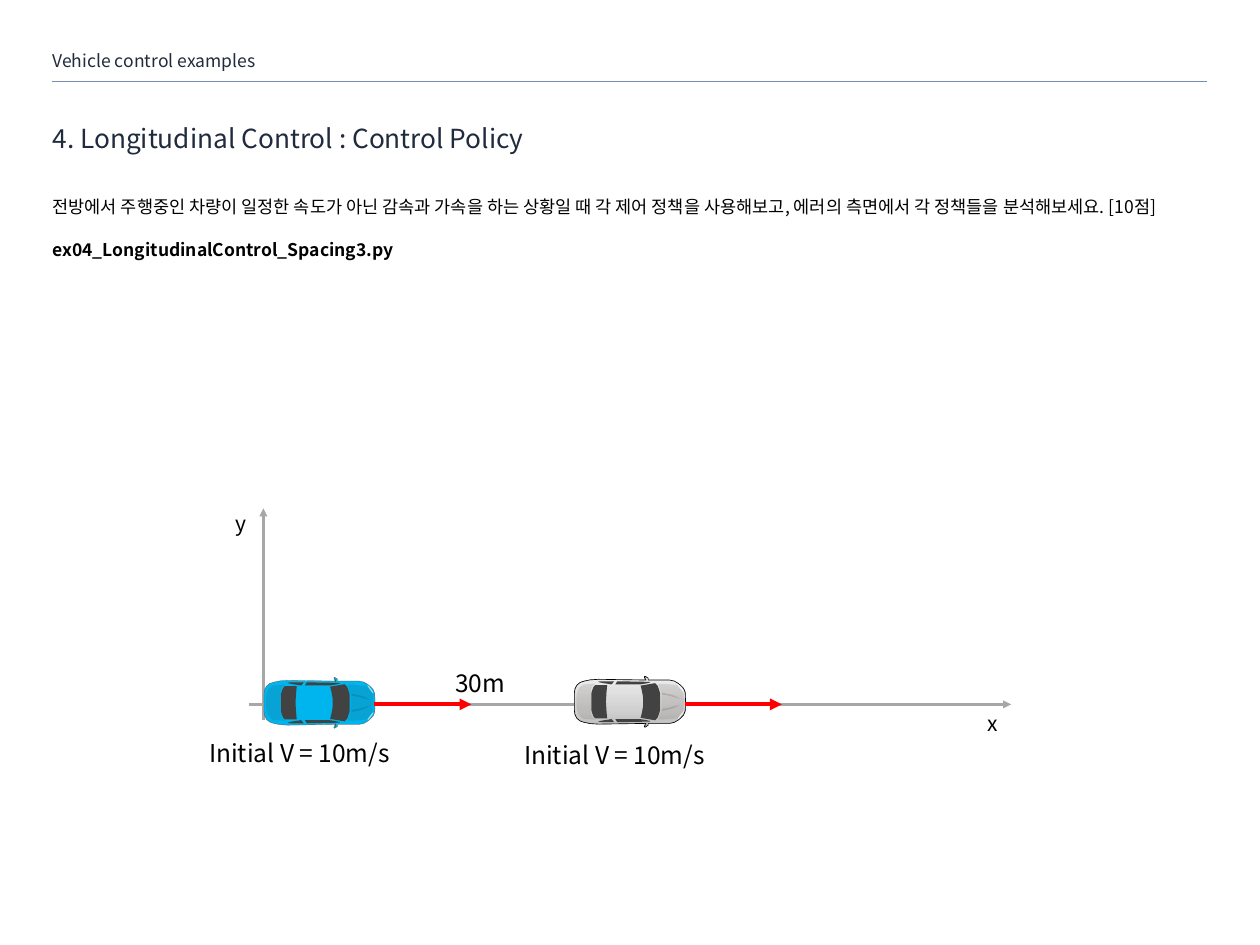
from copy import deepcopy
from dataclasses import dataclass
from math import ceil, dist
from typing import NamedTuple

from lxml.etree import SubElement
from pptx import Presentation
from pptx.dml.color import RGBColor
from pptx.enum.shapes import MSO_CONNECTOR as Connector, MSO_SHAPE as Preset
from pptx.enum.text import MSO_ANCHOR as Anchor, MSO_AUTO_SIZE as AutoSize, PP_ALIGN as Align
from pptx.oxml.ns import qn
from pptx.util import Pt

FONT = "Noto Sans CJK KR"
COLORS = {
    "ink": "000000", "heading": "202B3D", "rule": "778FAE", "axis": "A7A7A7",
    "velocity": "FF0000", "ego": "00B4ED", "ego_edge": "5B4036", "glass": "424242",
    "shade": "3C2A24", "light": "FFFFFF",
    "silver_low": "BDBDBD", "silver_mid": "D1D1D1", "silver_high": "EEEEEE",
}
MARGIN, TEXT_WIDTH = 60, 1320
AXIS_Y = 805
CHORD, MAX_CHORDS = 5, 3

Point = tuple[float, float]


class Part(NamedTuple):
    """Upper half of a car part; (x, y) is a corner, six numbers are a Bezier curve."""
    outline: tuple
    color: str = "glass"
    opacity: int = 100
    paired: bool = False


class Line(NamedTuple):
    start: Point
    end: Point
    color: str
    weight: float
    arrow: bool = True


class Label(NamedTuple):
    text: str
    left: float
    top: float
    width: float
    height: float
    size: float


@dataclass
class Car:
    left: float
    center: float
    paint: tuple[str, ...]
    edge: str
    edge_weight: float


BODY = Part((
    (0, 0), (0, -10.4), (0, -14.8, 2.2, -19.8, 6.5, -22), (10.1, -23.4, 16.6, -25.6, 27.4, -25.6),
    (81.4, -24.8), (79.9, -28.4), (80.6, -29.2), (81.4, -29.9, 83.5, -27.7, 84.2, -27),
    (84.2, -24.8), (108.7, -24.8), (114.5, -24.8, 119.5, -20.5, 121.7, -18.4),
    (124.6, -15.5, 125.3, -15.5, 126.7, -10.4), (127, 0)))
DETAILS = (
    # windscreen, rear window
    Part(((78.5, 0), (78.5, -4.7), (77.8, -9, 77, -14, 75.6, -18.4), (92.2, -21.2),
          (95.8, -19.8, 96.5, -13.3, 97.9, -9.7), (97.9, 0))),
    Part(((19.4, 0), (19.4, -9.7), (20.2, -11.9, 20.9, -17.6, 23.8, -19.1), (37.4, -19.1),
          (36.7, -11.2), (36, 0))),
    # side windows, mirrors
    Part(((45.4, -23.4), (29.5, -23.4), (27, -22.7), (29.5, -22),
          (31.7, -21.2, 39.6, -20.5, 42.5, -19.8)), paired=True),
    Part(((49, -23.4), (46.8, -19.8), (74.9, -19.8),
          (81.4, -20.5, 90.7, -22.7, 86.4, -22.7)), paired=True),
    Part(((80.6, -28.4), (82.1, -25.6), (82, -23.4), (81.4, -25.6)), paired=True),
    # hood, creases, trunk
    Part(((99.4, 0), (99.4, -9), (98.6, -11.9, 96.5, -16.2, 95.8, -20.5),
          (102.2, -20.5, 113.8, -19.8, 116.6, -19.1), (120.2, -16.9, 124.6, -10.4, 124.6, -9),
          (125.3, 0)), "shade", 12),
    Part(((100.1, -10.4), (100.1, -8.3), (108.7, -6.8), (121, -3.2),
          (117.4, -5.4, 113, -7.6, 110.2, -8.3)), "ink", 12, True),
    Part(((2.2, 0), (2.2, -4.7), (2.2, -7.6, 2.9, -11.2, 4.3, -14),
          (5, -16.2, 7.9, -18.4, 10.8, -19.8), (23.8, -20.5),
          (21.6, -19.1, 19.4, -16.9, 19.4, -14.8), (18.7, -6.1), (18.7, 0)), "shade", 12),
)
CARS = (
    Car(301.7, 803.2, ("ego",), "ego_edge", 0.25),
    Car(656.5, 802, ("silver_low", "silver_mid", "silver_high"), "ink", 0.75),
)
GRADIENT_POSITIONS = (0, 0.35, 1)
LABELS = (
    Label("y", 233.3, 577.4, 84.2, 42.5, 24),
    Label("x", 1092.2, 805, 84.2, 42.5, 24),
    Label("Initial V = 10m/s", 535.7, 838.8, 332.6, 46.8, 28),
    Label("Initial V = 10m/s", 175.7, 836.6, 332.6, 46.8, 28),
    Label("30m", 382.3, 756.7, 332.6, 46.8, 28),
)
RULE = Line((MARGIN, 92.9), (MARGIN + TEXT_WIDTH, 92.9), "rule", 0.25, arrow=False)
AXES = (
    Line((284.4, AXIS_Y), (1155.6, AXIS_Y), "axis", 3),
    Line((301, 823), (301, 581), "axis", 3),
)
VELOCITIES = tuple(
    Line((car.left + 126, AXIS_Y), (car.left + 237, AXIS_Y), "velocity", 4.5) for car in CARS)


def rgb(name: str) -> RGBColor:
    return RGBColor.from_string(COLORS[name])


def write(frame, *texts: str, size: float, color: str = "ink", align=Align.LEFT, anchor=Anchor.TOP,
          inset: float = 0, spacing: float = 1.0, before: float = 0, bold_last: bool = False) -> None:
    frame.word_wrap, frame.auto_size, frame.vertical_anchor = True, AutoSize.NONE, anchor
    frame.margin_left = frame.margin_top = frame.margin_right = frame.margin_bottom = Pt(inset)
    for index, text in enumerate(texts):
        line = frame.add_paragraph() if index else frame.paragraphs[0]
        line.alignment, line.line_spacing, line.space_before = align, spacing, Pt(before)
        properties = line._p.get_or_add_pPr()
        properties.set("marL", "0")
        properties.set("indent", "0")
        SubElement(properties, qn("a:buNone"))
        run = line.add_run()
        run.text = text
        run.font.size, run.font.name, run.font.color.rgb = Pt(size), FONT, rgb(color)
        run.font.bold = bold_last and index == len(texts) - 1
        SubElement(run._r.get_or_add_rPr(), qn("a:ea"), typeface=FONT)


def place(shape, left: float, top: float, width: float, height: float) -> None:
    shape.left, shape.top, shape.width, shape.height = Pt(left), Pt(top), Pt(width), Pt(height)


def draw_line(slide, line: Line) -> None:
    connector = slide.shapes.add_connector(
        Connector.STRAIGHT, *(Pt(value) for value in (*line.start, *line.end)))
    connector.line.color.rgb, connector.line.width = rgb(line.color), Pt(line.weight)
    properties = connector._element.spPr
    if line.arrow:
        SubElement(properties.find(qn("a:ln")), qn("a:tailEnd"), type="triangle")
    SubElement(properties, qn("a:effectLst"))


def flatten(outline: tuple) -> list[Point]:
    """Turn corners and Bezier curves into a list of points, with few chords per curve."""
    points = [outline[0]]
    for step in outline[1:]:
        if len(step) == 2:
            points.append(step)
            continue
        knots = (points[-1], step[:2], step[2:4], step[4:])
        chords = min(MAX_CHORDS, ceil(dist(knots[0], knots[3]) / CHORD))
        for index in range(1, chords + 1):
            t = index / chords
            weights = ((1 - t) ** 3, 3 * t * (1 - t) ** 2, 3 * t * t * (1 - t), t ** 3)
            points.append(tuple(sum(w * k[axis] for w, k in zip(weights, knots)) for axis in (0, 1)))
    return points


def paint_flat(shape, color: str, opacity: int = 100) -> None:
    shape.shadow.inherit = False
    shape.fill.solid()
    shape.fill.fore_color.rgb = rgb(color)
    shape.line.fill.background()
    if opacity < 100:
        tint = shape._element.spPr.find(qn("a:solidFill"))[0]
        SubElement(tint, qn("a:alpha"), val=str(opacity * 1000))


def paint_gradient(shape, colors: tuple[str, ...]) -> None:
    shape.fill.gradient()
    shape.fill.gradient_angle = 90
    stops = shape._element.spPr.find(qn("a:gradFill")).find(qn("a:gsLst"))
    stops.append(deepcopy(stops[0]))
    for stop, color, position in zip(shape.fill.gradient_stops, colors, GRADIENT_POSITIONS):
        stop.color.rgb, stop.position = rgb(color), position


def draw_part(slide, car: Car, part: Part):
    """Mirror the half outline across the car's long axis, as one ring or as two."""
    upper = flatten(part.outline)
    lower = [(x, -y) for x, y in reversed(upper) if part.paired or y]
    rings = [[(Pt(car.left + x), Pt(car.center + y)) for x, y in ring]
             for ring in ((upper, lower) if part.paired else (upper + lower,))]
    builder = slide.shapes.build_freeform(*rings[0][0])
    for index, ring in enumerate(rings):
        if index:
            builder.move_to(*ring[0])
        builder.add_line_segments(ring[1:], close=True)
    shape = builder.convert_to_shape()
    paint_flat(shape, part.color, part.opacity)
    return shape


def draw_car(slide, car: Car) -> None:
    body = draw_part(slide, car, BODY._replace(color=car.paint[0]))
    if len(car.paint) > 1:
        paint_gradient(body, car.paint)
    body.line.color.rgb, body.line.width = rgb(car.edge), Pt(car.edge_weight)
    for part in DETAILS:
        draw_part(slide, car, part)
    for offset, rotation in ((-15.5, 324.2), (15.5, 35.8)):
        headlight = slide.shapes.add_shape(
            Preset.OVAL, Pt(car.left + 121), Pt(car.center + offset - 5.75), Pt(1.4), Pt(11.5))
        headlight.rotation = rotation
        paint_flat(headlight, "light", 63)


def main() -> None:
    deck = Presentation()
    deck.slide_width, deck.slide_height = Pt(1440), Pt(1080)
    slide = deck.slides.add_slide(deck.slide_layouts.get_by_name("Two Content"))
    title, task, chapter = slide.placeholders
    draw_line(slide, RULE)
    place(task, MARGIN, 211.7, TEXT_WIDTH, 118.8)
    write(task.text_frame,
          "전방에서 주행중인 차량이 일정한 속도가 아닌 감속과 가속을 하는 상황일 때 각 제어 정책을 사용해보고, "
          "에러의 측면에서 각 정책들을 분석해보세요. [10점]",
          "ex04_LongitudinalControl_Spacing3.py",
          size=20, spacing=1.5, before=13.5, bold_last=True)
    place(title, MARGIN, 136.8, TEXT_WIDTH, 46.8)
    write(title.text_frame, "4. Longitudinal Control : Control Policy",
          size=30, color="heading", anchor=Anchor.MIDDLE, spacing=0.9)
    place(chapter, MARGIN, 54.7, 1117.4, 31)
    write(chapter.text_frame, "Vehicle control examples",
          size=20, color="heading", anchor=Anchor.MIDDLE, spacing=0.9)

    for axis in AXES:
        draw_line(slide, axis)
    for car in CARS:
        draw_car(slide, car)
    for label in LABELS:
        box = slide.shapes.add_textbox(*(Pt(value) for value in label[1:5]))
        write(box.text_frame, label.text, size=label.size, align=Align.CENTER, inset=6.5)
    for velocity in VELOCITIES:
        draw_line(slide, velocity)
    deck.save("out.pptx")


if __name__ == "__main__":
    main()
